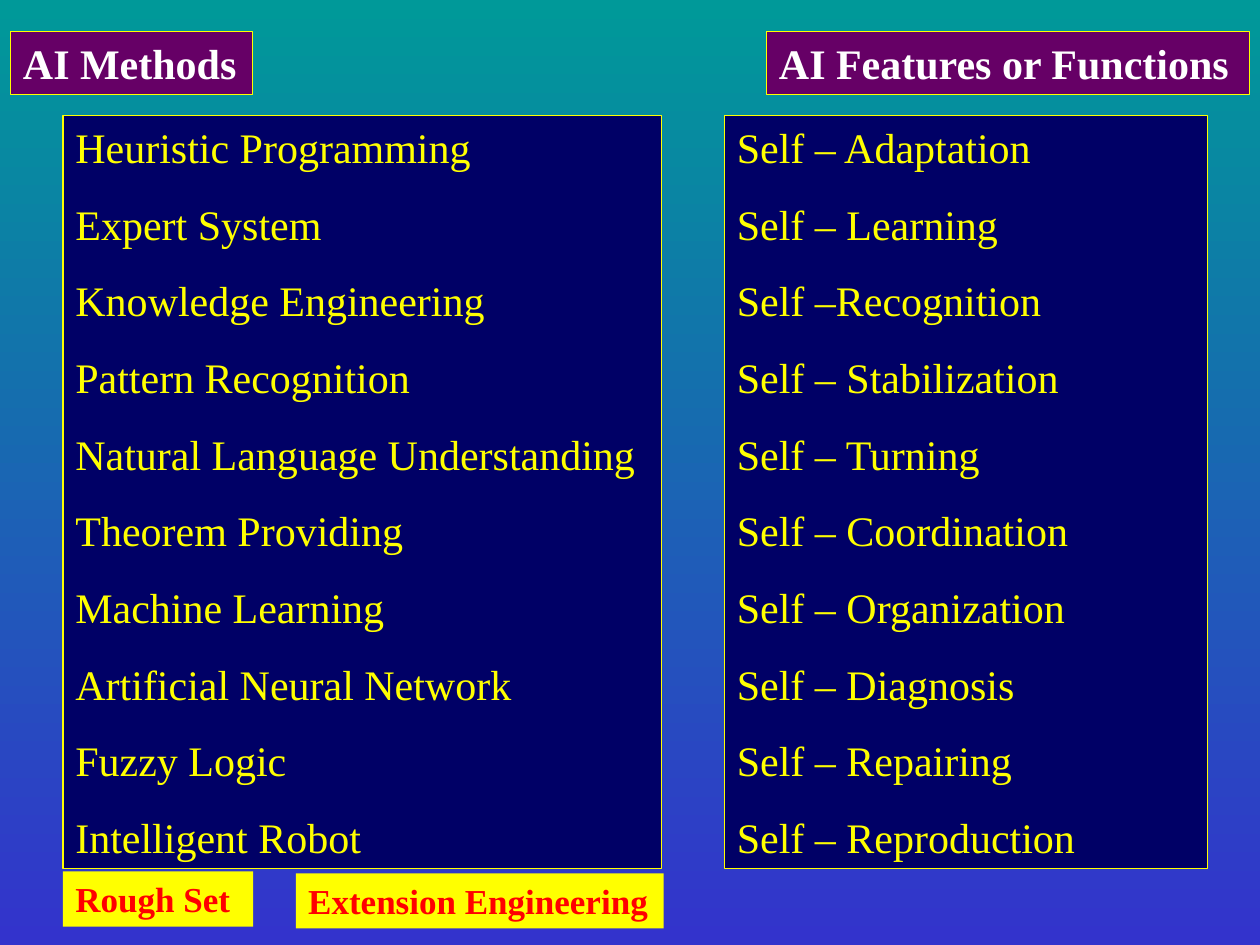
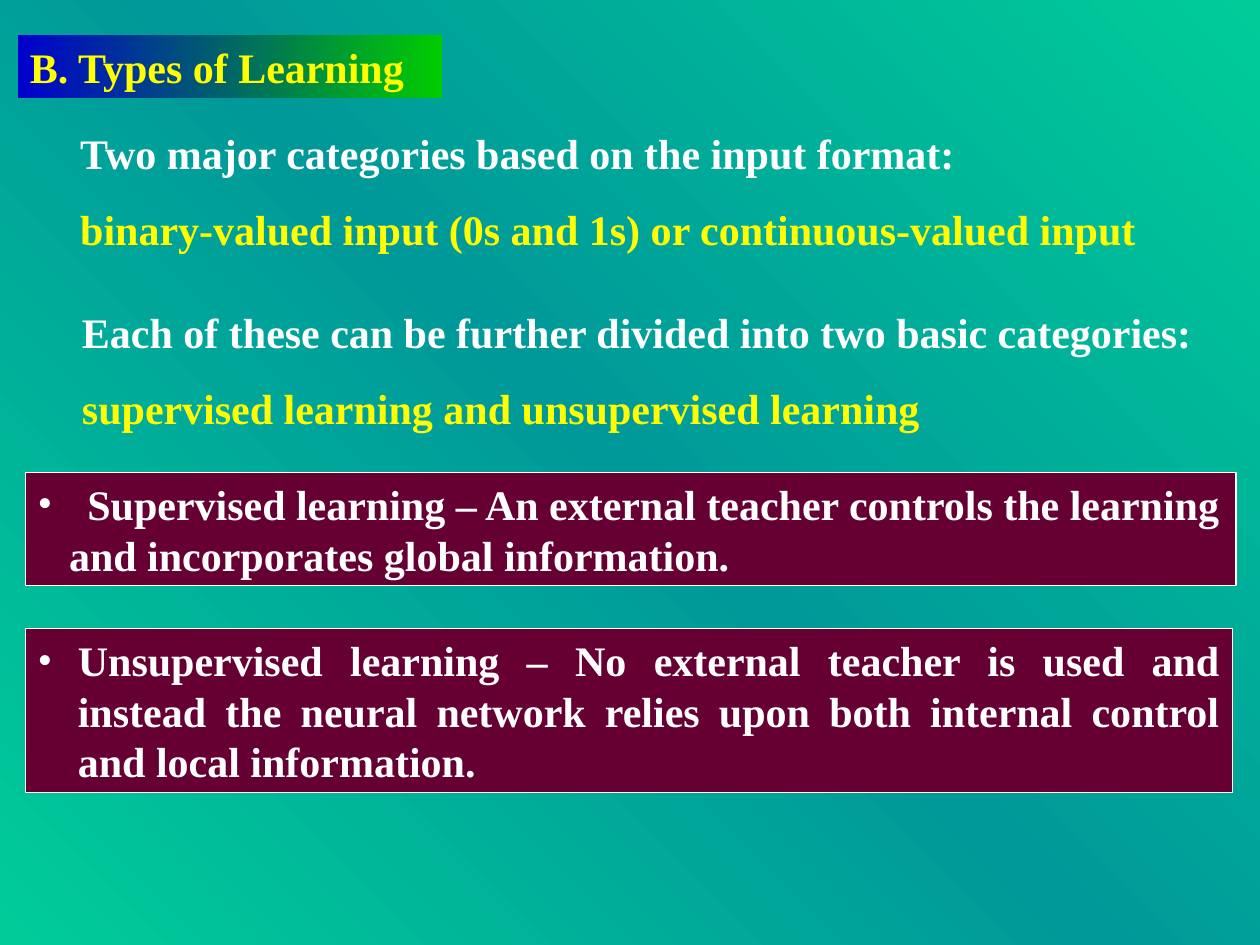
import copy
from dataclasses import dataclass
from typing import Optional

import pptx
import pptx.dml.color
import pptx.dml.fill
import pptx.enum.shapes
import pptx.enum.text
import pptx.oxml
import pptx.oxml.ns
import pptx.slide
import pptx.util

Pt = pptx.util.Pt
RGBColor = pptx.dml.color.RGBColor
Align = pptx.enum.text.PP_ALIGN

FONT = "Times New Roman"
WHITE = RGBColor(0xFF, 0xFF, 0xFF)
YELLOW = RGBColor(0xFF, 0xFF, 0x00)
RED = RGBColor(0xFF, 0x00, 0x00)
NAVY = RGBColor(0x00, 0x00, 0x66)
PURPLE = RGBColor(0x66, 0x00, 0x66)
MAROON = RGBColor(0x66, 0x00, 0x33)
TEAL = RGBColor(0x00, 0x99, 0x99)
INDIGO = RGBColor(0x33, 0x33, 0xCC)
MINT = RGBColor(0x00, 0xCC, 0x99)
BLUE = RGBColor(0x00, 0x00, 0xCC)
GREEN = RGBColor(0x00, 0xCC, 0x00)

METHODS = (
    "Heuristic Programming", "Expert System", "Knowledge Engineering",
    "Pattern Recognition", "Natural Language Understanding",
    "Theorem Providing", "Machine Learning", "Artificial Neural Network",
    "Fuzzy Logic", "Intelligent Robot",
)
FEATURES = (
    "Self – Adaptation", "Self – Learning", "Self –Recognition",
    "Self – Stabilization", "Self – Turning", "Self – Coordination",
    "Self – Organization", "Self – Diagnosis", "Self – Repairing",
    "Self – Reproduction",
)


@dataclass(frozen=True)
class Line:
    text: str
    color: RGBColor = WHITE
    margin: float = 0
    bullet: bool = False


@dataclass(frozen=True)
class Box:
    """A block of text; one fill colour is solid, several make a gradient."""
    left: float
    top: float
    width: float
    height: float
    lines: tuple[Line, ...]
    fill: tuple[RGBColor, ...] = ()
    border: Optional[RGBColor] = None
    size: float = 24
    bold: bool = True
    space_before: float = 15
    align: Align = Align.LEFT


def paint_gradient(fill: pptx.dml.fill.FillFormat, owner,
                   colors: tuple[RGBColor, ...], angle: float) -> None:
    """Spread the colours evenly along a counter-clockwise angle."""
    fill.gradient()
    fill.gradient_angle = angle
    stop_list = next(owner.iter(pptx.oxml.ns.qn("a:gsLst")))
    for _ in colors[2:]:
        stop_list.append(copy.deepcopy(stop_list[0]))
    for index, (stop, color) in enumerate(zip(fill.gradient_stops, colors)):
        stop.color.rgb = color
        stop.position = index / (len(colors) - 1)


def add_bullet(paragraph, color: RGBColor) -> None:
    namespace = pptx.oxml.ns.nsdecls("a")
    properties = paragraph._p.get_or_add_pPr()
    for xml in (
        f'<a:buClr {namespace}><a:srgbClr val="{color}"/></a:buClr>',
        f'<a:buFont {namespace} typeface="{FONT}"/>',
        f'<a:buChar {namespace} char="•"/>',
    ):
        properties.append(pptx.oxml.parse_xml(xml))


def write_lines(frame, box: Box) -> None:
    frame.word_wrap = True
    frame.auto_size = pptx.enum.text.MSO_AUTO_SIZE.SHAPE_TO_FIT_TEXT
    frame.vertical_anchor = pptx.enum.text.MSO_ANCHOR.TOP
    frame.text = "\n".join(line.text for line in box.lines)
    for index, (paragraph, line) in enumerate(zip(frame.paragraphs, box.lines)):
        paragraph.alignment = box.align
        if index and box.space_before:
            paragraph.space_before = Pt(box.space_before)
        properties = paragraph._p.get_or_add_pPr()
        if line.margin:
            properties.set("marL", str(Pt(line.margin)))
        if line.bullet:
            properties.set("indent", str(-Pt(line.margin)))
            add_bullet(paragraph, line.color)
        for run in paragraph.runs:
            run.font.name = FONT
            run.font.size = Pt(box.size)
            run.font.bold = box.bold
            run.font.color.rgb = line.color


def draw_box(slide: pptx.slide.Slide, box: Box) -> None:
    place = [Pt(v) for v in (box.left, box.top, box.width, box.height)]
    if not box.fill:
        write_lines(slide.shapes.add_textbox(*place).text_frame, box)
        return
    panel = slide.shapes.add_shape(
        pptx.enum.shapes.MSO_SHAPE.RECTANGLE, *place)
    panel.shadow.inherit = False
    if len(box.fill) > 1:
        paint_gradient(panel.fill, panel._element, box.fill, 0)
    else:
        panel.fill.solid()
        panel.fill.fore_color.rgb = box.fill[0]
    if box.border is None:
        panel.line.fill.background()
    else:
        panel.line.color.rgb = box.border
        panel.line.width = Pt(0.75)
    write_lines(panel.text_frame, box)


# Styles of box
def heading(left: float, width: float, text: str) -> Box:
    return Box(left, 18, width, 36, (Line(text),), (PURPLE,), YELLOW)


def list_panel(left: float, width: float, items: tuple[str, ...]) -> Box:
    lines = tuple(Line(item, YELLOW) for item in items)
    return Box(left, 66, width, 430.5, lines, (NAVY,), YELLOW, bold=False)


def extra_method(left: float, top: float, width: float, text: str) -> Box:
    return Box(left, top, width, 31.5, (Line(text, RED),), (YELLOW,), size=20)


def statement(left: float, top: float, width: float,
              lead: str, answer: str) -> Box:
    return Box(left, top, width, 80, (Line(lead), Line(answer, YELLOW)))


def definition(top: float, width: float, height: float,
               lines: tuple[Line, ...], align: Align = Align.LEFT) -> Box:
    return Box(14.4, top, width, height, lines, (MAROON,), WHITE,
               space_before=0, align=align)


METHODS_AND_FEATURES = (
    list_panel(36, 342, METHODS),
    heading(438, 276, "AI Features or Functions"),
    list_panel(414, 276, FEATURES),
    heading(6, 138.25, "AI Methods"),
    extra_method(36, 498, 108.75, "Rough Set"),
    extra_method(169, 499, 210.25, "Extension Engineering"),
)

TYPES_OF_LEARNING = (
    Box(10, 20, 242.5, 36, (Line("B. Types of Learning", YELLOW),),
        (BLUE, GREEN)),
    statement(38.75, 69.25, 649.5,
              "Two major categories based on the input format:",
              "binary-valued input (0s and 1s) or continuous-valued input"),
    statement(39.75, 171.5, 658,
              "Each of these can be further divided into two basic categories:",
              "supervised learning and unsupervised learning"),
    definition(270, 692, 64.8, (
        Line("Supervised learning – An external teacher controls the learning",
             margin=28.5, bullet=True),
        Line("and incorporates global information.", margin=18),
    )),
    definition(359.25, 689.75, 93.6, (
        Line("Unsupervised learning – No external teacher is used and instead "
             "the neural network relies upon both internal control and local "
             "information.", margin=23, bullet=True),
    ), Align.JUSTIFY),
)


def add_slide(deck, colors: tuple[RGBColor, ...], angle: float,
              boxes: tuple[Box, ...]) -> None:
    slide = deck.slides.add_slide(deck.slide_layouts[6])
    paint_gradient(slide.background.fill, slide._element, colors, angle)
    for box in boxes:
        draw_box(slide, box)


def main() -> None:
    deck = pptx.Presentation()
    deck.slide_width, deck.slide_height = Pt(720), Pt(540)
    add_slide(deck, (TEAL, INDIGO), 270, METHODS_AND_FEATURES)
    add_slide(deck, (MINT, TEAL, MINT), 45, TYPES_OF_LEARNING)
    deck.save("out.pptx")


if __name__ == "__main__":
    main()
